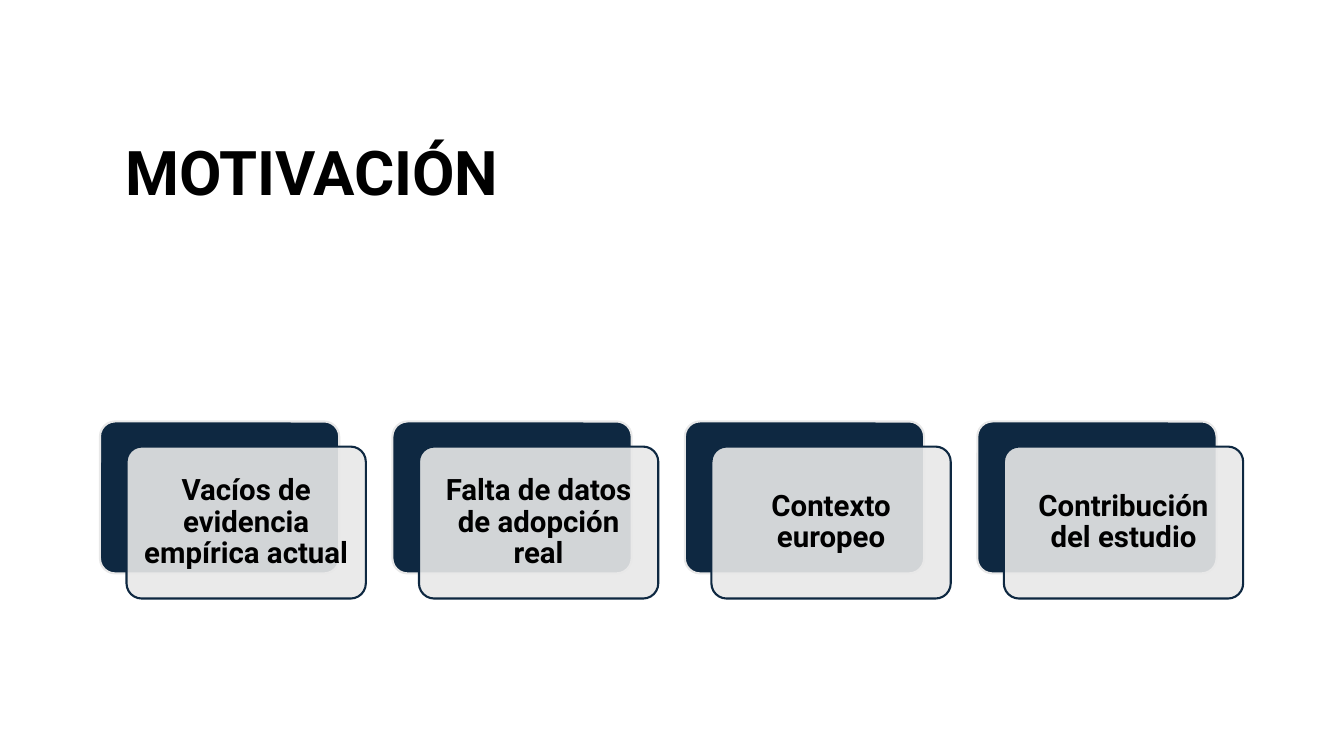
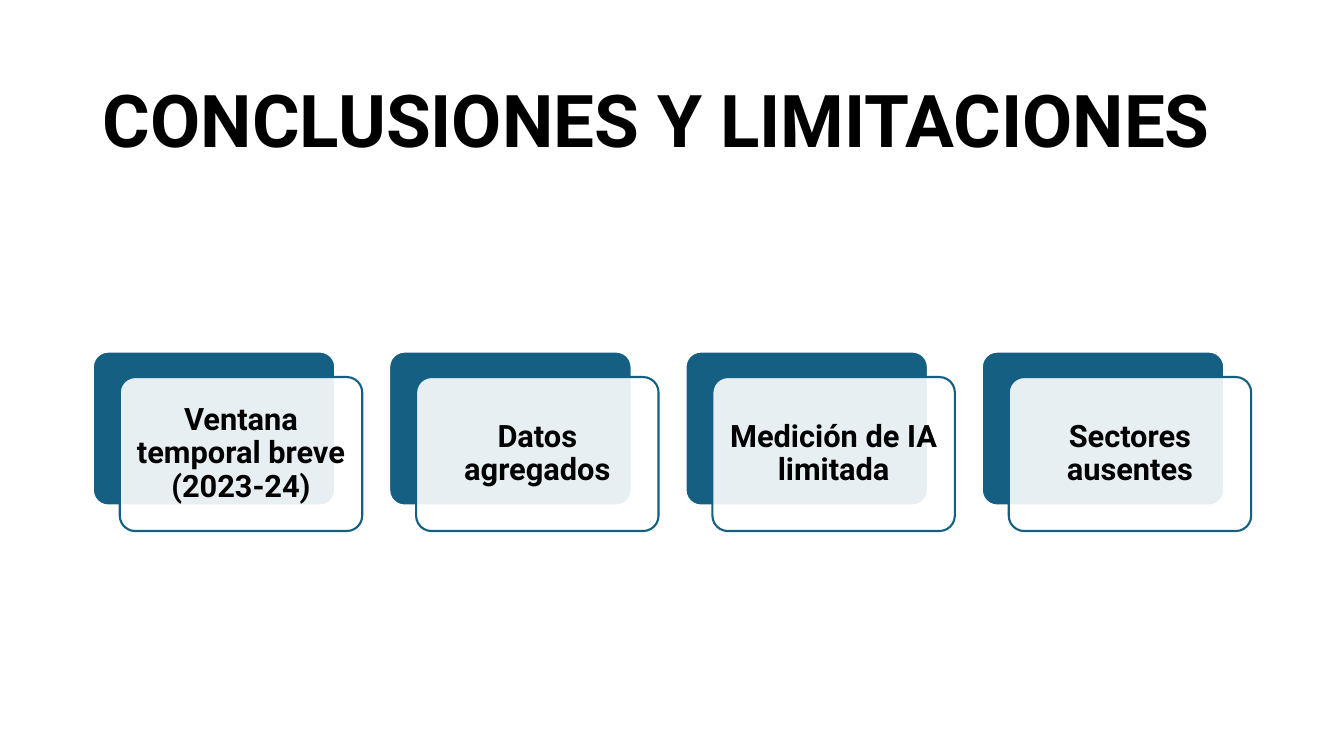
from dataclasses import dataclass

from pptx import Presentation
from pptx.dml.color import RGBColor as RGB
from pptx.enum.shapes import MSO_SHAPE as SHAPE
from pptx.enum.text import MSO_ANCHOR as ANCHOR, MSO_AUTO_SIZE as AUTO, PP_ALIGN as ALIGN
from pptx.oxml.ns import qn
from pptx.util import Cm, Pt
from lxml import etree


@dataclass(frozen=True)
class Theme:
    font: str = "Roboto"
    text: str = "000000"
    white: str = "FFFFFF"
    navy: str = "0E2841"
    grey: str = "E8E8E8"
    teal: str = "156082"
    title_md: int = 44
    title_lg: int = 52
    card_md: int = 21
    card_lg: int = 22
    outline: float = 1.5
    opacity: int = 90


THEME = Theme()


def style_text(tf, text, size, align):
    tf.word_wrap = True
    tf.auto_size = AUTO.NONE
    tf.vertical_anchor = ANCHOR.MIDDLE
    tf.text = text
    p = tf.paragraphs[0]
    p.alignment = align
    p.line_spacing = 0.9
    f = p.runs[0].font
    f.name, f.size, f.bold = THEME.font, Pt(size), True
    f.color.rgb = RGB.from_string(THEME.text)


def add_title_slide(prs, text, size, box):
    s = prs.slides.add_slide(prs.slide_layouts[5])
    title = s.shapes.title
    title.left, title.top, title.width, title.height = map(Cm, box)
    style_text(title.text_frame, text, size, ALIGN.LEFT)
    return s


def add_panel(shapes, box, fill, line):
    sp = shapes.add_shape(SHAPE.ROUNDED_RECTANGLE, *map(Cm, box))
    sp.adjustments[0] = 0.1
    sp.shadow.inherit = False
    sp.fill.solid()
    sp.fill.fore_color.rgb = RGB.from_string(fill)
    sp.line.color.rgb = RGB.from_string(line)
    sp.line.width = Pt(THEME.outline)
    return sp


def set_opacity(sp, percent):
    color = sp._element.spPr.find(qn("a:solidFill"))[0]
    etree.SubElement(color, qn("a:alpha")).set("val", str(percent * 1000))


def add_card(shapes, text, box, dark, light, size):
    x, y, w, h = box
    add_panel(shapes, box, dark, light)
    front = add_panel(shapes, (x + w / 9, y + w * 0.105, w, h), light, dark)
    set_opacity(front, THEME.opacity)
    tf = front.text_frame
    tf.margin_left = tf.margin_right = tf.margin_top = tf.margin_bottom = Cm(0.22)
    style_text(tf, text, size, ALIGN.CENTER)


def add_card_row(s, texts, left, top, width, dark, light, size):
    group = s.shapes.add_group_shape()
    pitch = width * 11 / 9
    for i, text in enumerate(texts):
        box = (left + i * pitch, top, width, width * 0.635)
        add_card(group.shapes, text, box, dark, light, size)


def main():
    prs = Presentation()
    prs.slide_width, prs.slide_height = Cm(33.87), Cm(19.05)

    s = add_title_slide(prs, "MOTIVACIÓN", THEME.title_md, (2.9, 2.26, 28.27, 4.32))
    add_card_row(
        s,
        ["Vacíos de evidencia empírica actual", "Falta de datos de adopción real",
         "Contexto europeo", "Contribución del estudio"],
        2.52, 10.62, 6.03, THEME.navy, THEME.grey, THEME.card_md,
    )

    s = add_title_slide(prs, "CONCLUSIONES Y LIMITACIONES", THEME.title_lg,
                        (2.34, 1.55, 29.21, 3.15))
    add_card_row(
        s,
        ["Ventana temporal breve (2023-24)", "Datos agregados",
         "Medición de IA limitada", "Sectores ausentes"],
        2.34, 8.86, 6.11, THEME.teal, THEME.white, THEME.card_lg,
    )

    prs.save("out.pptx")


if __name__ == "__main__":
    main()
